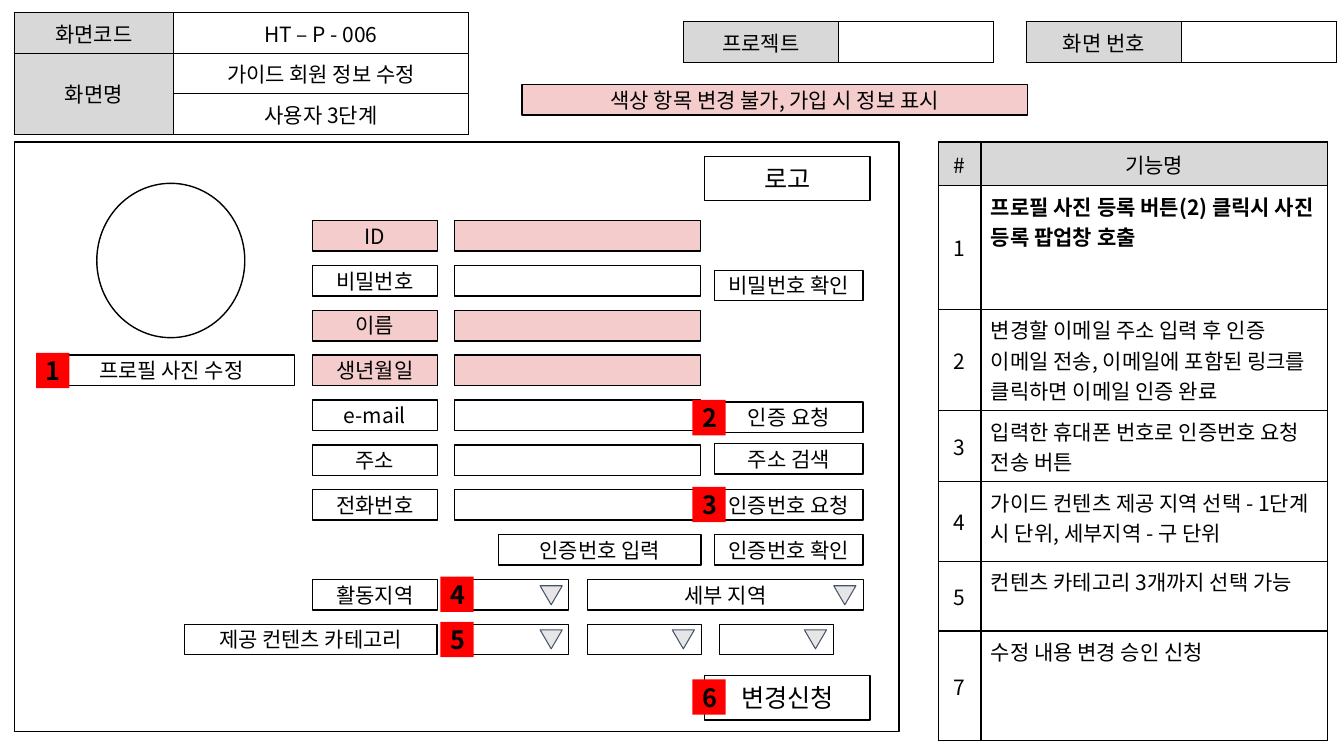
from dataclasses import dataclass

import lxml.etree
import pptx
import pptx.dml.color
import pptx.enum.shapes
import pptx.enum.text
import pptx.oxml.ns
import pptx.presentation
import pptx.shapes.autoshape
import pptx.slide
import pptx.table
import pptx.text.text
import pptx.util

Cm = pptx.util.Cm
Pt = pptx.util.Pt
Align = pptx.enum.text.PP_ALIGN
Anchor = pptx.enum.text.MSO_ANCHOR
Kind = pptx.enum.shapes.MSO_SHAPE
qn = pptx.oxml.ns.qn


@dataclass(frozen=True)
class Theme:
    font: str = "Noto Sans CJK KR"
    ink: str = "000000"
    paper: str = "FFFFFF"
    header: str = "D8D8D8"
    locked: str = "F4CCCC"
    badge: str = "FF0000"
    arrow: str = "E7E6E6"
    arrow_line: str = "44546A"
    body_size: float = 15
    large_size: float = 18
    line_width: float = 1
    arrow_line_width: float = 0.75


THEME = Theme()


@dataclass(frozen=True)
class Box:
    """A form element; lengths are centimetres."""
    left: float
    top: float
    width: float
    height: float = 0.77
    text: str = ""
    fill: str = THEME.paper
    line: str | None = THEME.ink
    line_width: float = THEME.line_width
    size: float = THEME.body_size
    bold: bool = False
    align: Align = Align.CENTER
    kind: Kind = Kind.RECTANGLE
    rotation: float = 0


@dataclass(frozen=True)
class Cell:
    text: str = ""
    fill: str = THEME.paper
    bold: bool = False
    align: Align = Align.CENTER
    anchor: Anchor = Anchor.MIDDLE


@dataclass(frozen=True)
class Grid:
    left: float
    top: float
    widths: list[float]
    heights: list[float]
    rows: list[list[Cell]]


FIRST_ROW, ROW_STEP = 5.56, 1.13
LABEL_LEFT, LABEL_WIDTH = 7.87, 3.16
INPUT_LEFT, INPUT_WIDTH = 11.46, 6.2
ACTION_LEFT, ACTION_WIDTH = 18.01, 3.74
SELECT_WIDTH, SECOND_SELECT_LEFT = 2.87, 14.81

# Label and whether the value is locked, one per form row
FIELDS = [("ID", True), ("비밀번호", False), ("이름", True), ("생년월일", True),
          ("e-mail", False), ("주소", False), ("전화번호", False)]


def row_top(row: int) -> float:
    return FIRST_ROW + row * ROW_STEP


def field_boxes() -> list[Box]:
    boxes = []
    for row, (label, locked) in enumerate(FIELDS):
        fill = THEME.locked if locked else THEME.paper
        boxes.append(Box(LABEL_LEFT, row_top(row), LABEL_WIDTH, text=label, fill=fill))
        boxes.append(Box(INPUT_LEFT, row_top(row), INPUT_WIDTH, fill=fill))
    return boxes


def large_button(top: float, text: str) -> Box:
    return Box(17.76, top, 4.17, 1.12, text, size=THEME.large_size)


def drop_arrow(left: float, top: float) -> Box:
    return Box(left, top, 0.56, 0.48, fill=THEME.arrow, line=THEME.arrow_line,
               line_width=THEME.arrow_line_width, kind=Kind.ISOSCELES_TRIANGLE, rotation=180)


def badge(left: float, top: float, text: str, align: Align = Align.CENTER) -> Box:
    return Box(left, top, 0.84, 0.89, text, THEME.badge, None,
               size=THEME.large_size, bold=True, align=align)


AREA, CATEGORY = row_top(8), row_top(9)
BOXES = [
    Box(13.16, 2.13, 12.73, text="색상 항목 변경 불가, 가입 시 정보 표시", fill=THEME.locked),
    Box(0.36, 3.58, 22.3, 14.86),
    large_button(3.94, "로고"),
    large_button(17.02, "변경신청"),
    Box(2.44, 4.62, 3.73, 3.89, kind=Kind.OVAL),
    Box(1.22, row_top(3), 6.2, text="프로필 사진 수정"),
    *field_boxes(),
    Box(ACTION_LEFT, 6.81, ACTION_WIDTH, text="비밀번호 확인"),
    Box(ACTION_LEFT, 10.13, ACTION_WIDTH, text="인증 요청"),
    Box(ACTION_LEFT, 11.18, ACTION_WIDTH, text="주소 검색"),
    Box(ACTION_LEFT, row_top(6), ACTION_WIDTH, text="인증번호 요청"),
    Box(12.57, row_top(7), 5.1, text="인증번호 입력"),
    Box(ACTION_LEFT, row_top(7), ACTION_WIDTH, text="인증번호 확인"),
    Box(LABEL_LEFT, AREA, LABEL_WIDTH, text="활동지역"),
    Box(INPUT_LEFT, AREA, SELECT_WIDTH),
    Box(SECOND_SELECT_LEFT, AREA, 6.95, text="세부 지역"),
    Box(4.65, CATEGORY, 6.36, text="제공 컨텐츠 카테고리"),
    *[Box(left, CATEGORY, SELECT_WIDTH) for left in (INPUT_LEFT, SECOND_SELECT_LEFT, 18.14)],
    *[drop_arrow(left, AREA + 0.16) for left in (13.61, 21.01)],
    *[drop_arrow(left, CATEGORY + 0.14) for left in (13.61, 16.94, 20.27)],
    badge(0.91, 8.89, "1"),
    badge(17.45, 10.08, "2"),
    badge(17.45, 12.27, "3", Align.LEFT),
    badge(11.1, 14.53, "4"),
    badge(11.1, 15.67, "5"),
    badge(17.45, 17.12, "6"),
]


def header(text: str) -> Cell:
    return Cell(text, THEME.header)


def feature(number: str, text: str, bold: bool = False) -> list[Cell]:
    return [Cell(number), Cell(text, bold=bold, align=Align.LEFT, anchor=Anchor.TOP)]


SCREEN_GRID = Grid(0.36, 0.32, [4.01, 7.44], [0.76] * 3, [
    [header("화면코드"), Cell("HT – P - 006")],
    [header("화면명"), Cell("가이드 회원 정보 수정")],
    [header(""), Cell("사용자 3단계")],
])
TAG_GRIDS = [Grid(left, 0.55, [3.91, 3.91], [0.74], [[header(text), Cell()]])
             for left, text in ((17.22, "프로젝트"), (25.86, "화면 번호"))]
FEATURE_GRID = Grid(23.65, 3.58, [1.07, 8.74], [1.1, 3.12, 2.41, 1.7, 2.01, 1.75, 2.77], [
    [header("#"), header("기능명")],
    feature("1", "프로필 사진 등록 버튼(2) 클릭시 사진 등록 팝업창 호출", bold=True),
    feature("2", "변경할 이메일 주소 입력 후 인증 이메일 전송, 이메일에 포함된 링크를 클릭하면 이메일 인증 완료"),
    feature("3", "입력한 휴대폰 번호로 인증번호 요청 전송 버튼"),
    feature("4", "가이드 컨텐츠 제공 지역 선택 - 1단계 시 단위, 세부지역 - 구 단위"),
    feature("5", "컨텐츠 카테고리 3개까지 선택 가능"),
    feature("7", "수정 내용 변경 승인 신청"),
])


def rgb(value: str) -> pptx.dml.color.RGBColor:
    return pptx.dml.color.RGBColor.from_string(value)


def write_text(frame: pptx.text.text.TextFrame, text: str, *, size: float = THEME.body_size,
               bold: bool = False, align: Align = Align.CENTER) -> None:
    paragraph = frame.paragraphs[0]
    paragraph.alignment = align
    if not text:  # an empty cell still needs its type size, which sets the row height
        lxml.etree.SubElement(paragraph._p, qn("a:endParaRPr"), sz=str(int(size * 100)))
        return
    run = paragraph.add_run()
    run.text = text
    run.font.size = Pt(size)
    run.font.bold = bold
    run.font.color.rgb = rgb(THEME.ink)
    run.font.name = THEME.font
    lxml.etree.SubElement(run._r.get_or_add_rPr(), qn("a:ea"), typeface=THEME.font)


def draw_box(slide: pptx.slide.Slide, box: Box) -> None:
    shape = slide.shapes.add_shape(box.kind, Cm(box.left), Cm(box.top), Cm(box.width), Cm(box.height))
    shape.shadow.inherit = False
    shape.rotation = box.rotation
    shape.fill.solid()
    shape.fill.fore_color.rgb = rgb(box.fill)
    if box.line:
        shape.line.color.rgb = rgb(box.line)
        shape.line.width = Pt(box.line_width)
    else:
        shape.line.fill.background()
    if box.text:
        shape.text_frame.word_wrap = True
        shape.text_frame.vertical_anchor = Anchor.MIDDLE
        write_text(shape.text_frame, box.text, size=box.size, bold=box.bold, align=box.align)


def add_borders(cell: pptx.table._Cell) -> None:
    properties = cell._tc.get_or_add_tcPr()
    for position, side in enumerate(("a:lnL", "a:lnR", "a:lnT", "a:lnB")):
        border = lxml.etree.Element(qn(side), w=str(Pt(THEME.line_width)))
        fill = lxml.etree.SubElement(border, qn("a:solidFill"))
        lxml.etree.SubElement(fill, qn("a:srgbClr"), val=THEME.ink)
        properties.insert(position, border)


def draw_grid(slide: pptx.slide.Slide, grid: Grid) -> pptx.table.Table:
    table = slide.shapes.add_table(len(grid.heights), len(grid.widths), Cm(grid.left), Cm(grid.top),
                                   Cm(sum(grid.widths)), Cm(sum(grid.heights))).table
    table.first_row = table.horz_banding = False
    for column, width in zip(table.columns, grid.widths):
        column.width = Cm(width)
    for row, height, contents in zip(table.rows, grid.heights, grid.rows):
        row.height = Cm(height)
        for cell, content in zip(row.cells, contents):
            cell.fill.solid()
            cell.fill.fore_color.rgb = rgb(content.fill)
            cell.vertical_anchor = content.anchor
            add_borders(cell)
            write_text(cell.text_frame, content.text, bold=content.bold, align=content.align)
    return table


def main() -> None:
    presentation = pptx.Presentation()
    presentation.slide_width, presentation.slide_height = Cm(33.87), Cm(19.05)
    slide = presentation.slides.add_slide(presentation.slide_layouts[6])
    screen_table = draw_grid(slide, SCREEN_GRID)
    screen_table.cell(1, 0).merge(screen_table.cell(2, 0))
    for grid in (*TAG_GRIDS, FEATURE_GRID):
        draw_grid(slide, grid)
    for box in BOXES:
        draw_box(slide, box)
    presentation.save("out.pptx")


if __name__ == "__main__":
    main()
